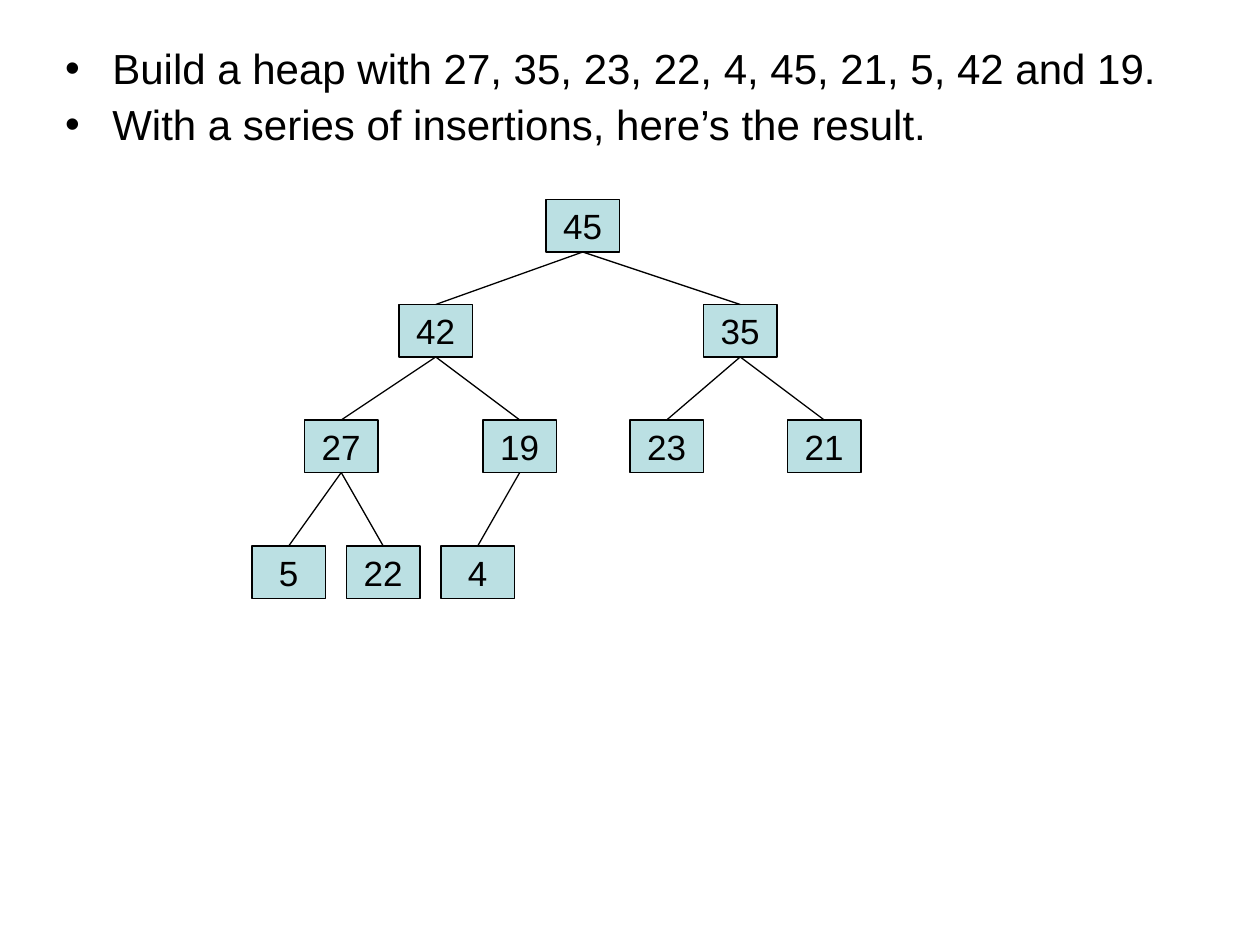
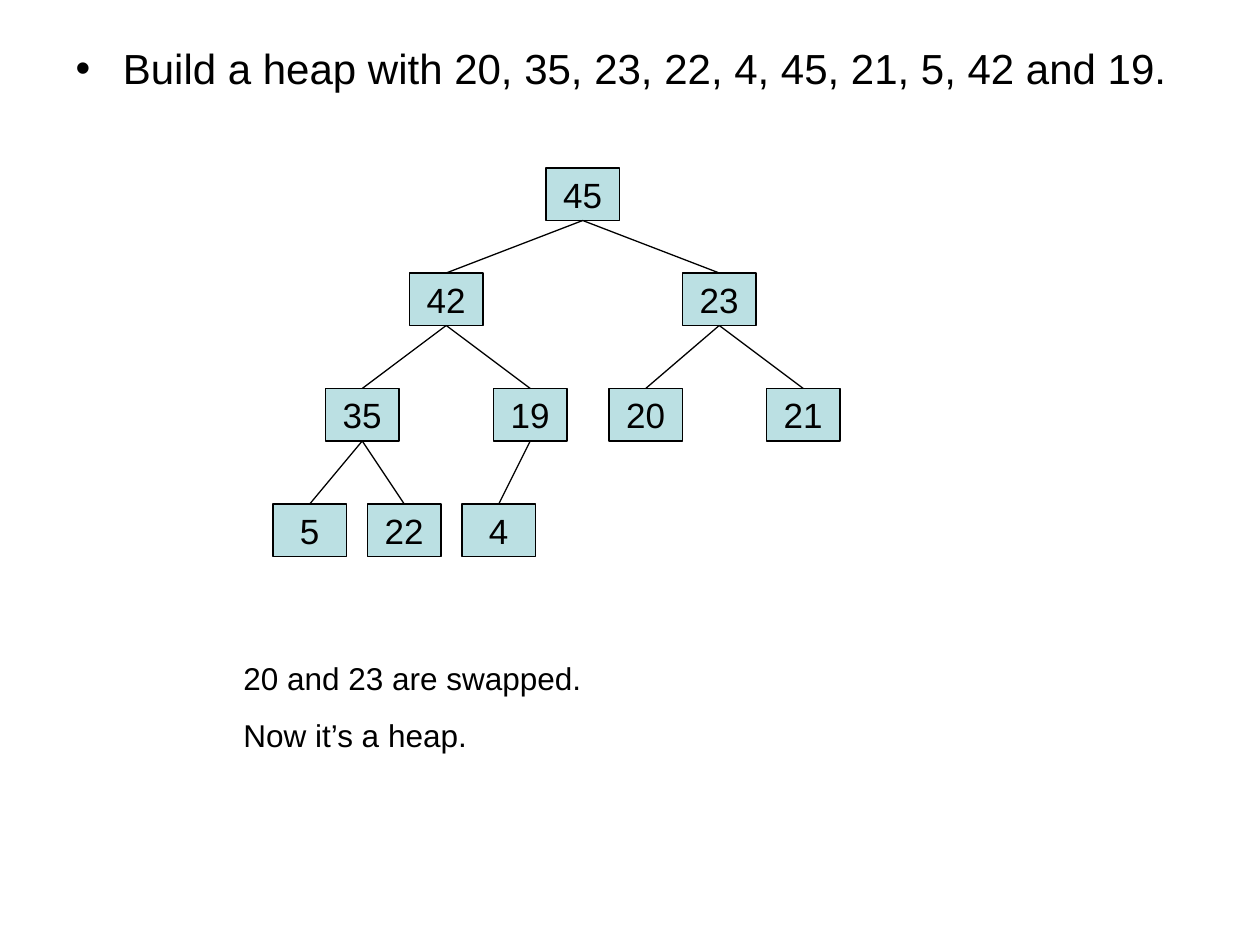
"""Build two slides that show binary heaps as trees."""
from lxml.etree import SubElement
from pptx import Presentation
from pptx.dml.color import RGBColor
from pptx.enum.shapes import MSO_CONNECTOR, MSO_SHAPE
from pptx.enum.text import MSO_ANCHOR, MSO_AUTO_SIZE, PP_ALIGN
from pptx.oxml.ns import qn
from pptx.util import Pt

INK = RGBColor(0x00, 0x00, 0x00)
NODE_FILL = RGBColor(0xBB, 0xE0, 0xE3)
FONT = "Arial"
NODE_WIDTH, NODE_HEIGHT = Pt(42), Pt(30)
LINE_WIDTH = Pt(0.75)


def format_runs(paragraph, size):
    """Give every run of a paragraph the shared font and colour."""
    for run in paragraph.runs:
        run.font.name = FONT
        run.font.size = Pt(size)
        run.font.color.rgb = INK


def add_task_slide(deck, tasks, left, height):
    """Add a slide whose body placeholder lists the tasks."""
    slide = deck.slides.add_slide(deck.slide_layouts[1])
    title = slide.shapes.title.element
    title.getparent().remove(title)
    body = slide.placeholders[1]
    body.left, body.top = Pt(left), Pt(24)
    body.width, body.height = Pt(648), Pt(height)
    frame = body.text_frame
    frame.text = "\n".join(tasks)
    frame.auto_size = MSO_AUTO_SIZE.NONE
    for paragraph in frame.paragraphs:
        paragraph.line_spacing = 0.9
        paragraph.space_before = Pt(6)
        format_runs(paragraph, 24)
    return slide


def add_node(slide, value, left, top):
    """Add one heap node with its value."""
    node = slide.shapes.add_shape(
        MSO_SHAPE.RECTANGLE, Pt(left), Pt(top), NODE_WIDTH, NODE_HEIGHT)
    node.shadow.inherit = False
    node.fill.solid()
    node.fill.fore_color.rgb = NODE_FILL
    node.line.color.rgb = INK
    node.line.width = LINE_WIDTH
    frame = node.text_frame
    frame.text = str(value)
    frame.word_wrap = False
    frame.vertical_anchor = MSO_ANCHOR.MIDDLE
    frame.paragraphs[0].alignment = PP_ALIGN.CENTER
    format_runs(frame.paragraphs[0], 20)
    return node


def add_edge(slide, parent, child):
    """Join the bottom of a parent to the top of its child."""
    edge = slide.shapes.add_connector(MSO_CONNECTOR.STRAIGHT, 0, 0, 0, 0)
    edge.begin_connect(parent, 2)
    edge.end_connect(child, 0)
    edge.line.color.rgb = INK
    edge.line.width = LINE_WIDTH
    SubElement(edge.element.spPr, qn("a:effectLst"))


def add_heap(slide, heap, level_tops):
    """Draw a heap given as (value, left) pairs in level order."""
    nodes = []
    for index, (value, left) in enumerate(heap):
        level = (index + 1).bit_length() - 1
        nodes.append(add_node(slide, value, left, level_tops[level]))
    for index, child in enumerate(nodes[1:], start=1):
        add_edge(slide, nodes[(index - 1) // 2], child)


def add_remarks(slide, remarks):
    """Add the remarks below the heap."""
    box = slide.shapes.add_textbox(Pt(132), Pt(373), Pt(444), Pt(62))
    frame = box.text_frame
    frame.text = "\n".join(remarks)
    frame.word_wrap = True
    frame.auto_size = MSO_AUTO_SIZE.SHAPE_TO_FIT_TEXT
    for paragraph in frame.paragraphs:
        paragraph.space_before = Pt(11.2)
        format_runs(paragraph, 18)


def main():
    """Build and save the deck."""
    deck = Presentation()
    deck.slide_width, deck.slide_height = Pt(720), Pt(540)

    insertions = add_task_slide(
        deck,
        ["Build a heap with 27, 35, 23, 22, 4, 45, 21, 5, 42 and 19.",
         "With a series of insertions, here’s the result."],
        left=30, height=78)
    add_heap(
        insertions,
        [(45, 312),
         (42, 228), (35, 402),
         (27, 174), (19, 276), (23, 360), (21, 450),
         (5, 144), (22, 198), (4, 252)],
        level_tops=(114, 174, 240, 312))

    swaps = add_task_slide(
        deck,
        ["Build a heap with 20, 35, 23, 22, 4, 45, 21, 5, 42 and 19."],
        left=36, height=42)
    add_heap(
        swaps,
        [(45, 312),
         (42, 234), (23, 390),
         (35, 186), (19, 282), (20, 348), (21, 438),
         (5, 156), (22, 210), (4, 264)],
        level_tops=(96, 156, 222, 288))
    add_remarks(swaps, ["20 and 23 are swapped.", "Now it’s a heap."])

    deck.save("out.pptx")


if __name__ == "__main__":
    main()
